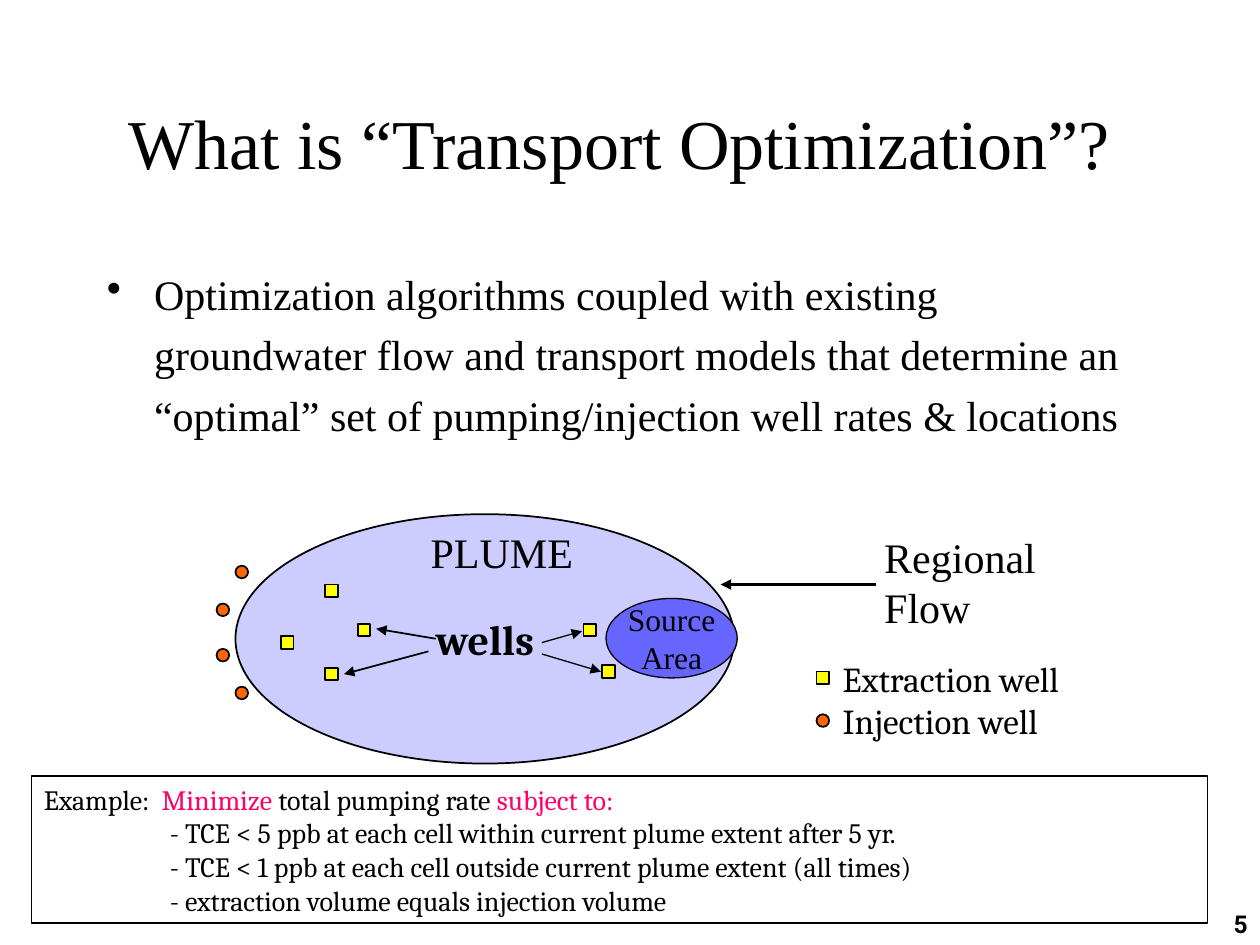
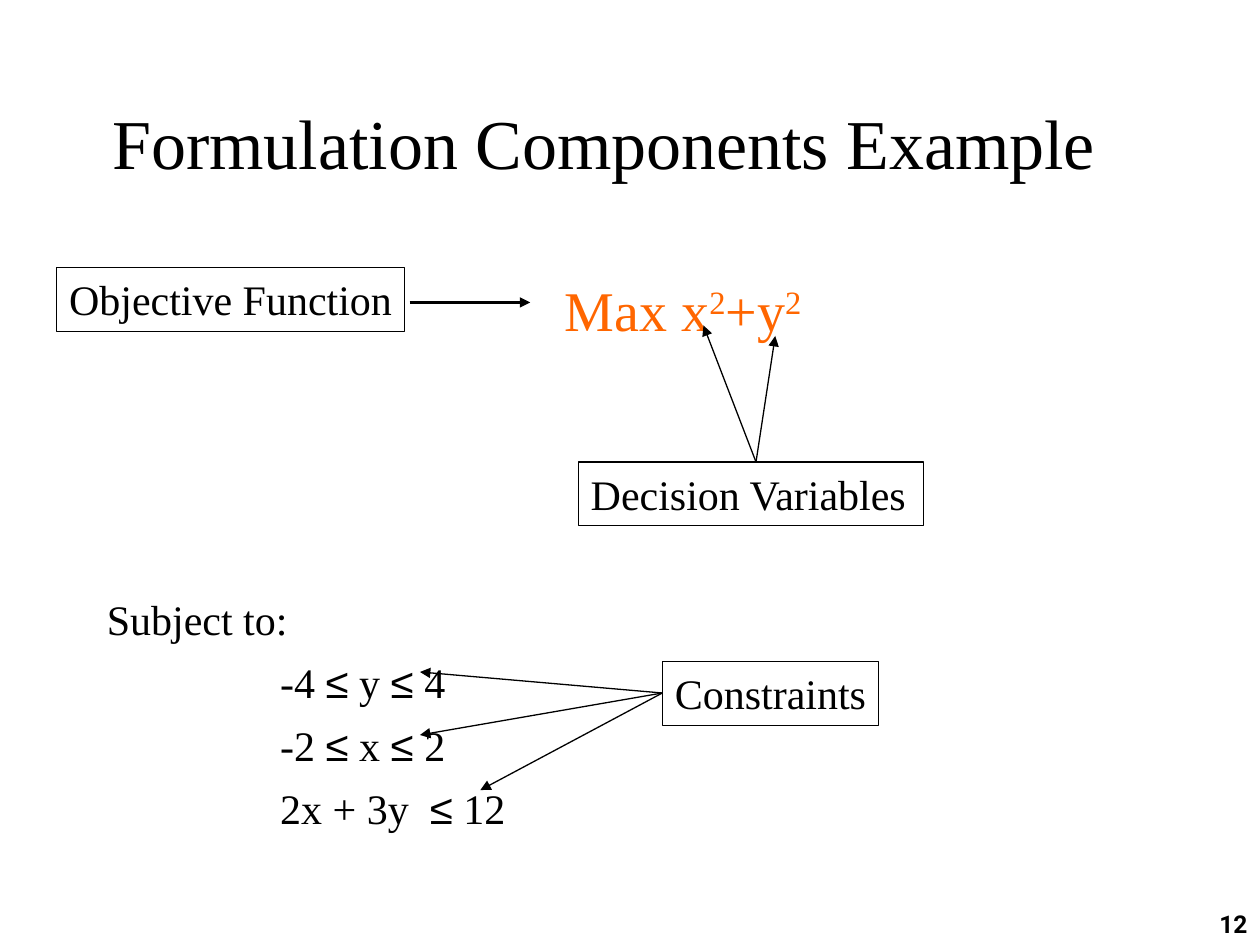
from dataclasses import dataclass
from typing import NamedTuple

from lxml.etree import SubElement
from pptx import Presentation
from pptx.dml.color import RGBColor
from pptx.enum.shapes import MSO_CONNECTOR, MSO_SHAPE
from pptx.enum.text import MSO_ANCHOR, PP_ALIGN
from pptx.oxml.ns import qn
from pptx.util import Pt


@dataclass(frozen=True)
class Theme:
    black: str = "000000"
    plume: str = "CCCCFF"
    source: str = "6666FF"
    extraction: str = "FFFF00"
    injection: str = "FF6600"
    formula: str = "FF6600"
    emphasis: str = "FF0066"
    serif: str = "Times New Roman"
    accent_serif: str = "Cambria"
    symbol: str = "Arial"
    number: str = "Roboto"
    title_size: float = 40
    formula_size: float = 32
    body_size: float = 24
    legend_size: float = 20
    source_size: float = 18
    example_size: float = 16
    number_size: float = 14
    thin: float = 0.75
    outline: float = 1


THEME = Theme()


class Box(NamedTuple):
    left: float
    top: float
    width: float
    height: float


class Run(NamedTuple):
    text: str
    size: float = THEME.body_size
    font: str = THEME.serif
    color: str = THEME.black
    bold: bool = False
    raised: bool = False


class Paragraph(NamedTuple):
    runs: list[Run]
    align: PP_ALIGN = PP_ALIGN.LEFT
    indent: float = 0
    after: float = 0
    line: float = 1
    bullet: str = ""


class Arrow(NamedTuple):
    start: tuple[float, float]
    end: tuple[float, float]
    weight: float = THEME.thin


class WellKind(NamedTuple):
    outline: MSO_SHAPE
    color: str
    places: list[tuple[float, float]]


WELL_SIZE = 7.2
BULLET_INDENT = 27
EXAMPLE_INDENT = 72
CONSTRAINT_INDENT = 99

WELL_KINDS = [
    WellKind(MSO_SHAPE.RECTANGLE, THEME.extraction, [
        (204.5, 356.4), (160.6, 363.6), (185.8, 334.1), (185.8, 381.6),
        (344.2, 380.2), (333.4, 356.4), (466.6, 383.8)]),
    WellKind(MSO_SHAPE.OVAL, THEME.injection, [
        (134.6, 392.4), (123.8, 370.8), (123.8, 344.9), (134.6, 323.3),
        (466.6, 408.2)]),
]

PLUME_ARROWS = [
    Arrow((500.4, 334), (411.8, 334), 2),
    Arrow((249, 365), (215, 359.3), THEME.outline),
    Arrow((244.8, 372.2), (196.6, 385.2), THEME.outline),
    Arrow((309.6, 367.2), (332.6, 360.7)),
    Arrow((309.6, 373.7), (343.4, 383.8)),
]

FORMULATION_ARROWS = [
    Arrow((234, 172.8), (303, 172.8), 1.5),
    *(Arrow((432, 264), end) for end in [(402, 186), (443, 192)]),
    *(Arrow((378.5, 396), end) for end in [(240, 384), (240, 420), (274.5, 451.5)]),
]

FORMULATION_LABELS = {
    "Objective Function": Box(32.4, 153, 198.7, 36.5),
    "Decision Variables ": Box(330.5, 264, 197.3, 36.5),
    "Constraints": Box(378.5, 378, 123.5, 36.5),
}

CONSTRAINTS = [("-4 ", " y ", " 4"), ("-2 ", " x ", " 2"), ("2x + 3y  ", " 12")]


def write(frame, paragraphs: list[Paragraph], wrap: bool = True,
          anchor: MSO_ANCHOR = MSO_ANCHOR.TOP) -> None:
    frame.word_wrap = wrap
    frame.vertical_anchor = anchor
    frame.margin_left = frame.margin_right = Pt(7.2)
    frame.margin_top = frame.margin_bottom = Pt(3.6)
    for index, content in enumerate(paragraphs):
        paragraph = frame.add_paragraph() if index else frame.paragraphs[0]
        paragraph.alignment = content.align
        paragraph.line_spacing = content.line
        paragraph.space_before = Pt(0)
        paragraph.space_after = Pt(content.after)
        properties = paragraph._p.get_or_add_pPr()
        properties.set("marL", str(Pt(content.indent)))
        if content.bullet:
            properties.set("indent", str(-Pt(content.indent)))
            SubElement(properties, qn("a:buChar")).set("char", content.bullet)
        for piece in content.runs:
            run = paragraph.add_run()
            run.text = piece.text
            run.font.size = Pt(piece.size)
            run.font.name = piece.font
            run.font.bold = piece.bold
            run.font.color.rgb = RGBColor.from_string(piece.color)
            if piece.raised:
                run.font._element.set("baseline", "30000")


def add_text(slide, box: Box, paragraphs: list[Paragraph], wrap: bool = True) -> None:
    write(slide.shapes.add_textbox(*map(Pt, box)).text_frame, paragraphs, wrap)


def add_outlined(slide, kind: MSO_SHAPE, box: Box, fill: str = "",
                 weight: float = THEME.outline):
    """Draw a black-outlined shape, hollow when no fill is given."""
    shape = slide.shapes.add_shape(kind, *map(Pt, box))
    shape.shadow.inherit = False
    if fill:
        shape.fill.solid()
        shape.fill.fore_color.rgb = RGBColor.from_string(fill)
    else:
        shape.fill.background()
    shape.line.color.rgb = RGBColor.from_string(THEME.black)
    shape.line.width = Pt(weight)
    return shape


def add_arrow(slide, arrow: Arrow) -> None:
    connector = slide.shapes.add_connector(
        MSO_CONNECTOR.STRAIGHT, *map(Pt, arrow.start + arrow.end))
    connector.line.color.rgb = RGBColor.from_string(THEME.black)
    connector.line.width = Pt(arrow.weight)
    SubElement(connector.line._get_or_add_ln(), qn("a:tailEnd")).set("type", "triangle")
    SubElement(connector._element.spPr, qn("a:effectLst"))


def add_titled_slide(deck, title: str, title_width: float, number: int):
    slide = deck.slides.add_slide(deck.slide_layouts[5])
    heading = slide.shapes.title
    heading.left, heading.top, heading.width, heading.height = map(
        Pt, Box(18, 36, title_width, 90))
    write(heading.text_frame,
          [Paragraph([Run(title, THEME.title_size)], PP_ALIGN.CENTER)],
          anchor=MSO_ANCHOR.MIDDLE)
    number_run = Run(str(number), THEME.number_size, THEME.number, bold=True)
    add_text(slide, Box(570, 516, 150, 36), [Paragraph([number_run], PP_ALIGN.RIGHT)])
    return slide


def example_run(text: str, color: str = THEME.black) -> Run:
    return Run(text, THEME.example_size, THEME.accent_serif, color)


def build_transport_slide(deck) -> None:
    slide = add_titled_slide(deck, "What is “Transport Optimization”?", 672, 5)
    definition = Run(
        "Optimization algorithms coupled with existing groundwater flow and transport "
        "models that determine an “optimal” set of pumping/injection well rates & locations")
    add_text(slide, Box(54, 144, 612, 115),
             [Paragraph([definition], indent=BULLET_INDENT, line=1.2, bullet="•")])

    plume = add_outlined(slide, MSO_SHAPE.OVAL, Box(134.6, 293.8, 285, 142.5), THEME.plume)
    wells = Run("wells", font=THEME.accent_serif, bold=True)
    write(plume.text_frame, [Paragraph([wells], PP_ALIGN.CENTER)],
          wrap=False, anchor=MSO_ANCHOR.MIDDLE)
    source = add_outlined(slide, MSO_SHAPE.OVAL, Box(346.3, 342, 75, 45.4),
                          THEME.source, THEME.thin)
    write(source.text_frame,
          [Paragraph([Run(word, THEME.source_size)], PP_ALIGN.CENTER)
           for word in ("Source", "Area")],
          wrap=False, anchor=MSO_ANCHOR.MIDDLE)

    for kind in WELL_KINDS:
        for place in kind.places:
            add_outlined(slide, kind.outline, Box(*place, WELL_SIZE, WELL_SIZE), kind.color)
    for arrow in PLUME_ARROWS:
        add_arrow(slide, arrow)

    add_text(slide, Box(239, 297.4, 96, 36), [Paragraph([Run("PLUME")])], wrap=False)
    add_text(slide, Box(498.2, 300.2, 156, 36),
             [Paragraph([Run("Regional Flow")])], wrap=False)
    add_text(slide, Box(474.5, 372.2, 160, 55),
             [Paragraph([Run(name, THEME.legend_size, THEME.accent_serif)])
              for name in ("Extraction well", "Injection well")], wrap=False)

    example = add_outlined(slide, MSO_SHAPE.RECTANGLE, Box(18, 443.5, 672, 83.8))
    objective = Paragraph([
        example_run("Example:  "),
        example_run("Minimize", THEME.emphasis),
        example_run(" total pumping rate "),
        example_run("subject to:", THEME.emphasis),
    ])
    limits = [
        "- TCE < 5 ppb at each cell within current plume extent after 5 yr.",
        "- TCE < 1 ppb at each cell outside current plume extent (all times)",
        "- extraction volume equals injection volume",
    ]
    write(example.text_frame,
          [objective] + [Paragraph([example_run(limit)], indent=EXAMPLE_INDENT)
                         for limit in limits])


def constraint_runs(terms: tuple[str, ...]) -> list[Run]:
    """Join the terms with ≤ signs set in the symbol font."""
    runs = [Run(terms[0])]
    for term in terms[1:]:
        runs += [Run("≤", font=THEME.symbol), Run(term)]
    return runs


def build_formulation_slide(deck) -> None:
    slide = add_titled_slide(deck, "Formulation Components Example", 654, 12)
    formula = [Run(text, THEME.formula_size, color=THEME.formula, raised=text == "2")
               for text in ("Max x", "2", "+y", "2")]
    add_text(slide, Box(315.5, 154, 160, 45), [Paragraph(formula)], wrap=False)
    add_text(slide, Box(54, 335.5, 300, 145),
             [Paragraph([Run("Subject to:")], after=7.2)]
             + [Paragraph(constraint_runs(terms), indent=CONSTRAINT_INDENT, after=7.2)
                for terms in CONSTRAINTS])
    for label, box in FORMULATION_LABELS.items():
        frame = add_outlined(slide, MSO_SHAPE.RECTANGLE, box, weight=THEME.thin)
        write(frame.text_frame, [Paragraph([Run(label)])], wrap=False)
    for arrow in FORMULATION_ARROWS:
        add_arrow(slide, arrow)


def main() -> None:
    deck = Presentation()
    deck.slide_width, deck.slide_height = Pt(720), Pt(540)
    build_transport_slide(deck)
    build_formulation_slide(deck)
    deck.save("out.pptx")


if __name__ == "__main__":
    main()
